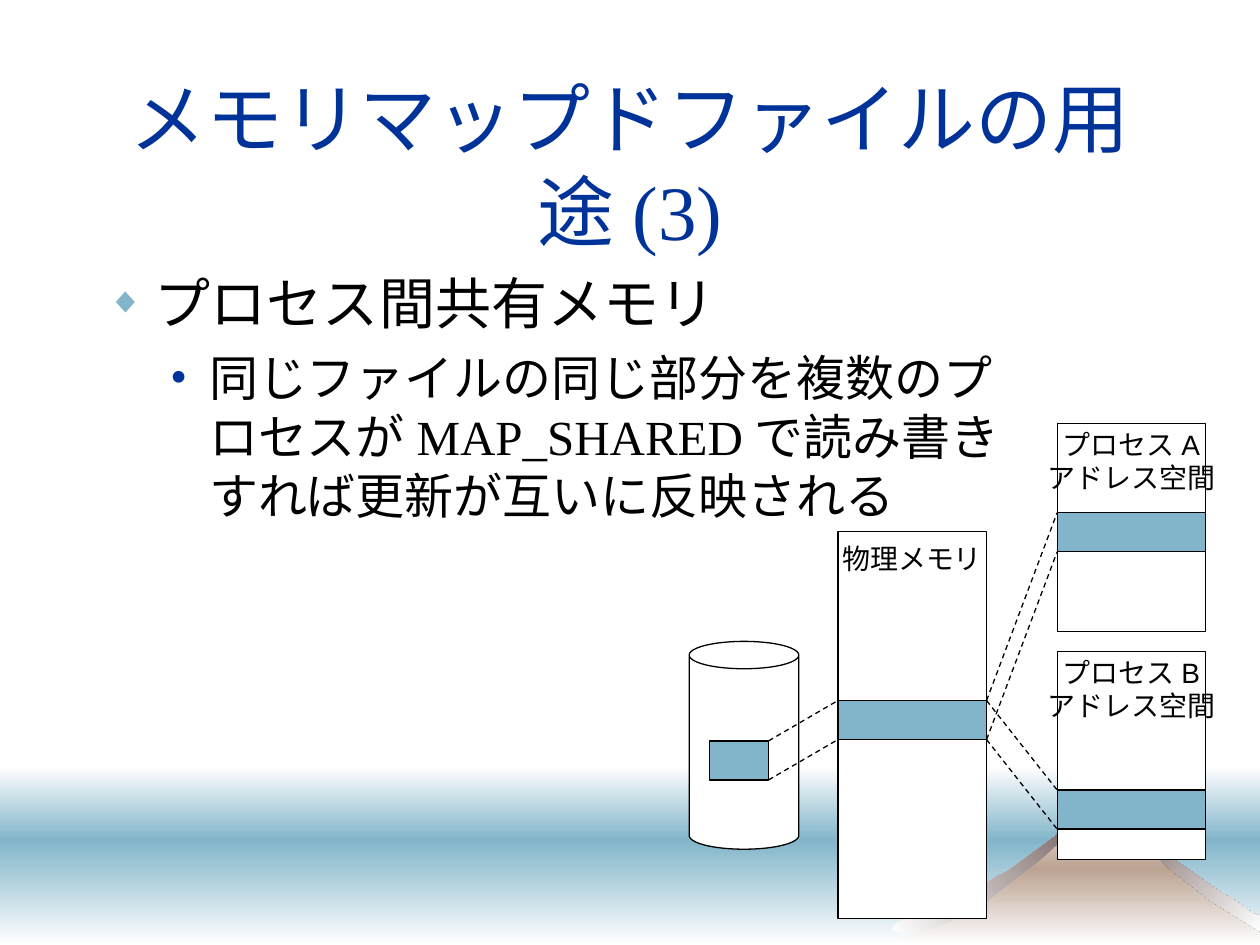
from dataclasses import dataclass

from pptx import Presentation
from pptx.dml.color import RGBColor
from pptx.enum.dml import MSO_LINE
from pptx.enum.shapes import MSO_CONNECTOR, MSO_SHAPE as Shape
from pptx.enum.text import MSO_ANCHOR as Anchor, MSO_AUTO_SIZE, PP_ALIGN as Align
from pptx.oxml import parse_xml
from pptx.oxml.ns import nsdecls
from pptx.util import Inches, Pt


@dataclass(frozen=True)
class Theme:
    navy: str = "003399"
    teal: str = "82B5CA"
    black: str = "000000"
    white: str = "FFFFFF"
    sand: str = "BCA392"
    rock: str = "6B5653"
    text_font: str = "Times New Roman"
    label_font: str = "Arial"
    title_size: int = 44
    label_size: int = 16
    line_width: float = 0.75


THEME = Theme()

# Content
TITLE = "メモリマップドファイルの用途(3)"
# text, level, size, space before, left margin, hanging indent, bullet, colour, bullet %
BULLETS = [
    ("プロセス間共有メモリ", 0, 32, 8, 0.38, 0.38, "◆", THEME.teal, 65),
    ("同じファイルの同じ部分を複数のプロセスがMAP_SHAREDで読み書きすれば更新が互いに反映される",
     1, 28, 7, 0.81, 0.31, "•", THEME.navy, 100),
]

# Diagram: left, top, width, height in inches
COLUMN_WIDTH, BAND_HEIGHT, PROCESS_HEIGHT = 1.18, 0.31, 1.65
PROCESS_LEFT, MEMORY_LEFT = 8.39, 6.65
DISK = (5.47, 5.09, 0.87, PROCESS_HEIGHT)
# label, left, top, height, space above the label
COLUMNS = [
    ("プロセスA\nアドレス空間", PROCESS_LEFT, 3.36, PROCESS_HEIGHT, 0.03),
    ("プロセスB\nアドレス空間", PROCESS_LEFT, 5.17, PROCESS_HEIGHT, 0.03),
    ("物理メモリ", MEMORY_LEFT, 4.22, 3.07, 0.08),
]
# left, top, width of each shared region
BANDS = {
    "process_a": (PROCESS_LEFT, 4.07, COLUMN_WIDTH),
    "process_b": (PROCESS_LEFT, 6.27, COLUMN_WIDTH),
    "memory": (MEMORY_LEFT, 5.56, COLUMN_WIDTH),
    "file": (5.63, 5.88, 0.47),
}
LINKS = [("memory", "process_a"), ("memory", "process_b"), ("file", "memory")]

# Scenery: rectangles in inches, outlines in hundredths of an inch
SKY = [
    ((0, 6.08, 10, 0.59), (THEME.white, THEME.teal)),
    ((0, 6.67, 10, 0.83), (THEME.teal, THEME.white)),
]
HILL = [(711, 750), (790, 705), (840, 666), (869, 637), (875, 631), (880, 629),
        (886, 629), (891, 631), (903, 657), (922, 680), (968, 712), (1000, 733),
        (1000, 750)]
RIGHT_SLOPE = [(915, 677), (931, 692), (948, 705), (953, 709), (961, 715),
               (990, 733), (1000, 739), (1000, 727), (994, 725), (979, 714),
               (970, 709), (929, 680), (912, 664), (904, 654), (897, 644),
               (892, 632), (896, 644), (901, 655), (907, 665)]
LEFT_SLOPE = [(832, 668), (799, 692), (792, 695), (782, 702), (751, 719),
              (735, 723), (720, 729), (711, 733), (708, 737), (710, 739),
              (714, 740), (720, 741), (730, 739), (739, 737), (750, 733),
              (769, 724), (780, 717), (786, 713), (827, 681), (851, 659),
              (864, 643), (868, 638), (865, 640), (856, 649)]
LANDSCAPE = [
    (HILL, (THEME.white, THEME.sand, THEME.white), 90),
    (RIGHT_SLOPE, (THEME.rock, THEME.white), 45),
    (LEFT_SLOPE, (THEME.white, THEME.rock), 315),
]


def rgb(value):
    return RGBColor.from_string(value)


def style_text(para, font, size, color):
    for span in para.runs:
        span.font.name = font
        span.font.size = Pt(size)
        span.font.color.rgb = rgb(color)


def fill_gradient(shape, colors, angle):
    """Spread the colours evenly along the angle, with no outline."""
    shape.shadow.inherit = False
    shape.line.fill.background()
    shape.fill.background()
    step = 100000 // (len(colors) - 1)
    stops = "".join(f'<a:gs pos="{i * step}"><a:srgbClr val="{color}"/></a:gs>'
                    for i, color in enumerate(colors))
    gradient = parse_xml(
        f'<a:gradFill {nsdecls("a")} rotWithShape="1"><a:gsLst>{stops}</a:gsLst>'
        f'<a:lin ang="{angle * 60000}" scaled="0"/></a:gradFill>')
    blank = shape.element.spPr.find("{*}noFill")
    blank.getparent().replace(blank, gradient)


def add_box(page, kind, bounds, fill):
    box = page.shapes.add_shape(kind, *map(Inches, bounds))
    box.shadow.inherit = False
    box.fill.solid()
    box.fill.fore_color.rgb = rgb(fill)
    box.line.color.rgb = rgb(THEME.black)
    box.line.width = Pt(THEME.line_width)
    return box


def add_dashed_line(page, start, end):
    line = page.shapes.add_connector(MSO_CONNECTOR.STRAIGHT, *map(Inches, start + end))
    line.line.color.rgb = rgb(THEME.black)
    line.line.width = Pt(THEME.line_width)
    line.line.dash_style = MSO_LINE.DASH
    line.element.spPr.append(parse_xml(f'<a:effectLst {nsdecls("a")}/>'))


def place(holder, bounds):
    holder.left, holder.top, holder.width, holder.height = map(Inches, bounds)
    holder.text_frame.auto_size = MSO_AUTO_SIZE.NONE
    holder.element.getparent().append(holder.element)


def add_scenery(page):
    for bounds, colors in SKY:
        band = page.shapes.add_shape(Shape.RECTANGLE, *map(Inches, bounds))
        fill_gradient(band, colors, 90)
    for points, colors, angle in LANDSCAPE:
        outline = page.shapes.build_freeform(*points[0], scale=Inches(0.01))
        outline.add_line_segments(points[1:], close=True)
        fill_gradient(outline.convert_to_shape(), colors, angle)


def add_text(page):
    title, body = page.placeholders
    place(title, (0.75, 0.67, 8.5, 1.25))
    title.text_frame.text = TITLE
    title.text_frame.vertical_anchor = Anchor.MIDDLE
    title.text_frame.paragraphs[0].alignment = Align.CENTER
    style_text(title.text_frame.paragraphs[0], THEME.text_font, THEME.title_size, THEME.navy)

    place(body, (0.75, 2.08, 7.56, 4.5))
    body.text_frame.text = "\n".join(item[0] for item in BULLETS)
    for para, item in zip(body.text_frame.paragraphs, BULLETS):
        _, level, size, before, margin, hanging, mark, color, percent = item
        para.level = level
        para.space_before = Pt(before)
        style_text(para, THEME.text_font, size, THEME.black)
        props = para._p.get_or_add_pPr()
        props.set("marL", str(Inches(margin)))
        props.set("indent", str(-Inches(hanging)))
        for tag in (f'buClr {nsdecls("a")}><a:srgbClr val="{color}"/></a:buClr>',
                    f'buSzPct {nsdecls("a")} val="{percent * 1000}"/>',
                    f'buFont {nsdecls("a")} typeface="{THEME.text_font}"/>',
                    f'buChar {nsdecls("a")} char="{mark}"/>'):
            props.append(parse_xml("<a:" + tag))


def add_diagram(page):
    # Address spaces, memory and disk
    for label, left, top, height, above in COLUMNS:
        box = add_box(page, Shape.RECTANGLE, (left, top, COLUMN_WIDTH, height), THEME.white)
        frame = box.text_frame
        frame.text = label
        frame.word_wrap = False
        frame.vertical_anchor = Anchor.TOP
        frame.margin_top = Inches(above)
        for para in frame.paragraphs:
            para.alignment = Align.CENTER
            style_text(para, THEME.label_font, THEME.label_size, THEME.black)
    disk = add_box(page, Shape.CAN, DISK, THEME.white)
    disk.adjustments[0] = 0.25

    # Shared regions, and dashed lines between their facing corners
    for left, top, width in BANDS.values():
        add_box(page, Shape.RECTANGLE, (left, top, width, BAND_HEIGHT), THEME.teal)
    for source, target in LINKS:
        left, top, width = BANDS[source]
        end_left, end_top, _ = BANDS[target]
        for drop in (0, BAND_HEIGHT):
            add_dashed_line(page, (left + width, top + drop), (end_left, end_top + drop))


def main():
    deck = Presentation()
    deck.slide_width, deck.slide_height = Inches(10), Inches(7.5)
    page = deck.slides.add_slide(deck.slide_layouts[1])
    add_scenery(page)
    add_text(page)
    add_diagram(page)
    deck.save("out.pptx")


if __name__ == "__main__":
    main()
